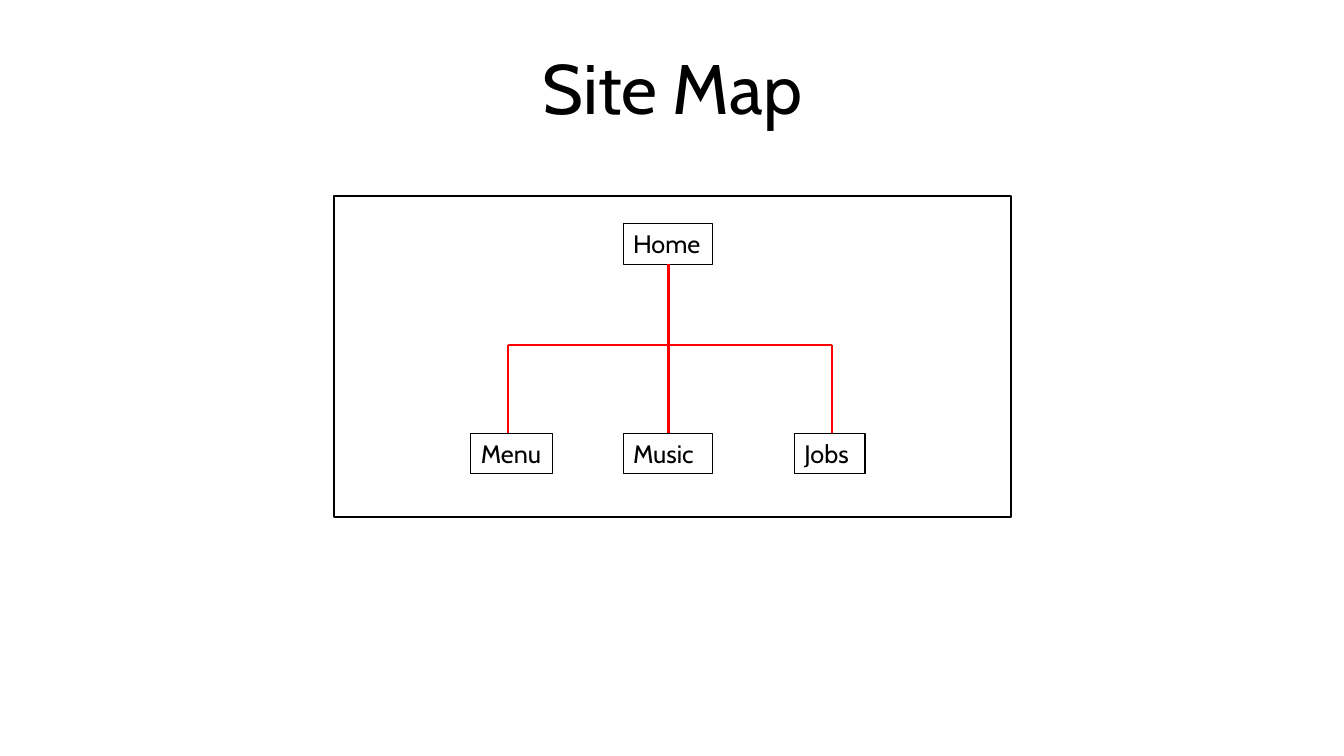
from pptx import Presentation
from pptx.dml.color import RGBColor
from pptx.enum.shapes import MSO_CONNECTOR, MSO_SHAPE
from pptx.enum.text import MSO_ANCHOR, MSO_AUTO_SIZE, PP_ALIGN
from pptx.oxml.ns import qn
from pptx.util import Inches, Pt
from lxml import etree

RECTANGLE = MSO_SHAPE.RECTANGLE
STRAIGHT = MSO_CONNECTOR.STRAIGHT
TOP, BOTTOM = MSO_ANCHOR.TOP, MSO_ANCHOR.BOTTOM
LEFT, CENTER = PP_ALIGN.LEFT, PP_ALIGN.CENTER
GROW, FIXED = MSO_AUTO_SIZE.SHAPE_TO_FIT_TEXT, MSO_AUTO_SIZE.NONE

COLORS = {"ink": "000000", "branch": "FF0000"}
FONT = "Cabin"
UNIT = Inches(0.1)  # grid step inside the map

# Map rows and columns in grid steps, measured from the frame's corner
HOME_ROW, BRANCH_ROW, PAGE_ROW, PAGE_HEIGHT = 2.8, 14.8, 23.6, 4
HOME = ("Home", 28.7, 8.9)
TRUNK = 33.2
# page name, left column, width, column of its branch
PAGES = [
    ("Menu", 13.6, 8.1, 17.3),
    ("Music", 28.7, 8.9, TRUNK),
    ("Jobs", 45.7, 7, 49.4),
]


def rgb(name):
    return RGBColor.from_string(COLORS[name])


def write(shape, text, size, align, frame_format):
    frame = shape.text_frame
    for attribute, value in frame_format.items():
        setattr(frame, attribute, value)
    paragraph = frame.paragraphs[0]
    paragraph.alignment = align
    run = paragraph.add_run()
    run.text = text
    for attribute, value in {"name": FONT, "size": Pt(size)}.items():
        setattr(run.font, attribute, value)
    run.font.color.rgb = rgb("ink")
    return paragraph


def add_outline(slide, box, weight):
    outline = slide.shapes.add_shape(RECTANGLE, *(int(length) for length in box))
    outline.shadow.inherit = False
    outline.fill.background()
    outline.line.color.rgb = rgb("ink")
    outline.line.width = Pt(weight)
    return outline


def add_title(slide, text, box):
    title = slide.shapes.title
    title.left, title.top, title.width, title.height = box
    frame_format = {"vertical_anchor": BOTTOM, "auto_size": FIXED, "word_wrap": True}
    write(title, text, 50, CENTER, frame_format).line_spacing = 0.9


def add_site_map(slide, box):
    left, top = box[:2]

    def place(column, row):
        return int(left + column * UNIT), int(top + row * UNIT)

    def add_page(name, column, row, width):
        page = add_outline(
            slide, (*place(column, row), width * UNIT, PAGE_HEIGHT * UNIT), 0.75)
        frame_format = {"vertical_anchor": TOP, "auto_size": GROW, "word_wrap": True}
        write(page, name, 18, LEFT, frame_format)

    def add_branch(start, end):
        branch = slide.shapes.add_connector(STRAIGHT, *place(*start), *place(*end))
        branch.line.color.rgb = rgb("branch")
        branch.line.width = Pt(1.5)
        etree.SubElement(branch._element.spPr, qn("a:effectLst"))

    add_outline(slide, box, 1.5)
    home_name, home_column, home_width = HOME
    add_page(home_name, home_column, HOME_ROW, home_width)
    add_branch((TRUNK, HOME_ROW + PAGE_HEIGHT), (TRUNK, BRANCH_ROW))
    for name, column, width, stem in PAGES:
        add_page(name, column, PAGE_ROW, width)
        add_branch((stem, BRANCH_ROW), (stem, PAGE_ROW))
        if stem != TRUNK:
            add_branch((TRUNK, BRANCH_ROW), (stem, BRANCH_ROW))


def main():
    deck = Presentation()
    deck.slide_width, deck.slide_height = Inches(13.33), Inches(7.5)
    slide = deck.slides.add_slide(deck.slide_layouts[5])
    add_title(slide, "Site Map", [Inches(n) for n in (1.67, 0.27, 10, 1.07)])
    add_site_map(slide, [Inches(n) for n in (3.31, 1.94, 6.72, 3.19)])
    deck.save("out.pptx")


if __name__ == "__main__":
    main()
